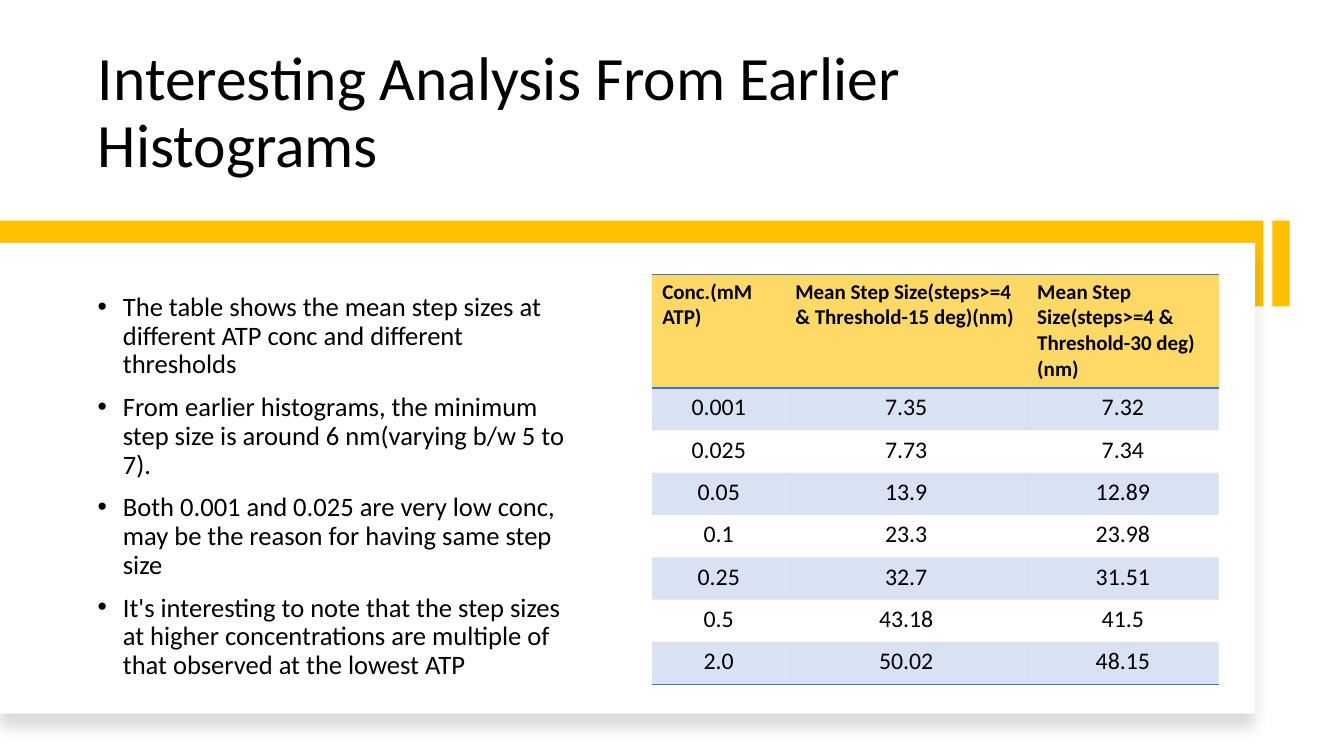
"""Build the slide on mean step sizes at different ATP concentrations."""
from dataclasses import dataclass

from lxml import etree
from pptx import Presentation
from pptx.dml.color import RGBColor
from pptx.enum.shapes import MSO_SHAPE
from pptx.enum.text import MSO_ANCHOR, PP_ALIGN
from pptx.oxml.ns import qn
from pptx.util import Emu, Inches, Pt

RECT = MSO_SHAPE.RECTANGLE
TOP, MIDDLE, BOTTOM = MSO_ANCHOR.TOP, MSO_ANCHOR.MIDDLE, MSO_ANCHOR.BOTTOM
LEFT, CENTER = PP_ALIGN.LEFT, PP_ALIGN.CENTER

BLACK = RGBColor(0x00, 0x00, 0x00)
WHITE = RGBColor(0xFF, 0xFF, 0xFF)
GOLD = RGBColor(0xFF, 0xC0, 0x00)
PALE_GOLD = RGBColor(0xFF, 0xD9, 0x66)
BLUE = RGBColor(0x44, 0x72, 0xC4)

FONT = "Calibri"
WIDTH, HEIGHT = Inches(13.33), Inches(7.5)
NO_TABLE_STYLE = "{2D5ABB26-0587-4C30-8999-92F81FD0307C}"
BULLET_INDENT = Inches(0.25)


@dataclass(frozen=True)
class Box:
    """Place on the slide, in percent of its width and height."""
    x: float
    y: float
    w: float
    h: float

    def emu(self) -> tuple[Emu, Emu, Emu, Emu]:
        """Return left, top, width and height as lengths."""
        return across(self.x), down(self.y), across(self.w), down(self.h)


@dataclass(frozen=True)
class Panel:
    """A plain rectangle."""
    box: Box
    color: RGBColor
    shadow: bool = False


@dataclass(frozen=True)
class TextBlock:
    """A text box with one paragraph per line."""
    box: Box
    lines: tuple[str, ...]
    size: int
    anchor: MSO_ANCHOR
    bullets: bool = False


BAND = Panel(Box(0, 29.2, 94, 11.33), GOLD)
CARD = Panel(Box(0, 32.13, 93.4, 62.27), WHITE, shadow=True)
MARKER = Panel(Box(94.67, 29.2, 1.28, 11.33), GOLD)

TITLE = TextBlock(Box(6.53, 5.6, 82.6, 18.93),
                  ("Interesting Analysis From Earlier Histograms",), 44, BOTTOM)
FINDINGS = TextBlock(Box(6.53, 37.87, 37.2, 53.07), (
    "The table shows the mean step sizes at different ATP conc and different thresholds",
    "From earlier histograms, the minimum step size is around 6 nm(varying b/w 5 to 7).",
    "Both 0.001 and 0.025 are very low conc, may be the reason for having same step size",
    "It's interesting to note that the step sizes at higher concentrations are "
    "multiple of that observed at the lowest ATP",
), 19, MIDDLE, bullets=True)

TABLE_BOX = Box(48.53, 36.27, 42.15, 54.27)
COLUMN_WIDTHS = (9.9, 18, 14.25)
HEADER_HEIGHT, ROW_HEIGHT = 15.07, 5.6
STEP_SIZES = (
    ("Conc.(mM ATP)", "Mean Step Size(steps>=4 & Threshold-15 deg)(nm)",
     "Mean Step Size(steps>=4 & Threshold-30 deg)(nm)"),
    ("0.001", "7.35", "7.32"),
    ("0.025", "7.73", "7.34"),
    ("0.05", "13.9", "12.89"),
    ("0.1", "23.3", "23.98"),
    ("0.25", "32.7", "31.51"),
    ("0.5", "43.18", "41.5"),
    ("2.0", "50.02", "48.15"),
)


def across(share: float) -> Emu:
    """Turn a percentage of the slide's width into a length."""
    return Emu(round(WIDTH * share / 100))


def down(share: float) -> Emu:
    """Turn a percentage of the slide's height into a length."""
    return Emu(round(HEIGHT * share / 100))


def add_color(parent, color: RGBColor, alpha: int = 100) -> None:
    """Append a colour with its opacity in percent."""
    clr = etree.SubElement(parent, qn("a:srgbClr"), val=str(color))
    if alpha < 100:
        etree.SubElement(clr, qn("a:alpha"), val=str(alpha * 1000))


def add_panel(s, panel: Panel) -> None:
    """Draw a filled rectangle, with a soft shadow below if asked."""
    sp = s.shapes.add_shape(RECT, *panel.box.emu())
    sp.shadow.inherit = False
    sp.fill.solid()
    sp.fill.fore_color.rgb = panel.color
    sp.line.fill.background()
    if panel.shadow:
        effects = sp._element.spPr.find(qn("a:effectLst"))
        shadow = etree.SubElement(effects, qn("a:outerShdw"), blurRad=str(Pt(11)),
                                  dist=str(Pt(10)), dir=str(90 * 60000), algn="t",
                                  rotWithShape="0")
        add_color(shadow, BLACK, 15)


def add_bullet(p) -> None:
    """Give a paragraph a hanging bullet."""
    pPr = p._p.get_or_add_pPr()
    pPr.set("marL", str(BULLET_INDENT))
    pPr.set("indent", str(-BULLET_INDENT))
    etree.SubElement(pPr, qn("a:buFont"), typeface="Arial")
    etree.SubElement(pPr, qn("a:buChar"), char="•")


def style_runs(p, size: int, bold: bool = False) -> None:
    """Set the font of a paragraph's runs."""
    for r in p.runs:
        r.font.name = FONT
        r.font.size = Pt(size)
        r.font.bold = bold
        r.font.color.rgb = BLACK


def add_text(s, block: TextBlock) -> None:
    """Write a text block."""
    tf = s.shapes.add_textbox(*block.box.emu()).text_frame
    tf.word_wrap = True
    tf.vertical_anchor = block.anchor
    tf.text = "\n".join(block.lines)
    for i, p in enumerate(tf.paragraphs):
        p.line_spacing = 0.9
        if i:
            p.space_before = Pt(10)
        if block.bullets:
            add_bullet(p)
        style_runs(p, block.size)


def add_border(cell, side: str) -> None:
    """Draw a thin blue line on one side of a cell."""
    ln = etree.SubElement(cell._tc.get_or_add_tcPr(), qn(f"a:{side}"), w=str(Pt(1)))
    add_color(etree.SubElement(ln, qn("a:solidFill")), BLUE)


def fill_cell(cell, row: int) -> None:
    """Fill the header gold and every other row below it in light blue."""
    if row and row % 2 == 0:
        cell.fill.background()
        return
    cell.fill.solid()
    cell.fill.fore_color.rgb = BLUE if row else PALE_GOLD
    if row:
        clr = cell._tc.tcPr.find(qn("a:solidFill")).find(qn("a:srgbClr"))
        etree.SubElement(clr, qn("a:alpha"), val="20000")


def add_step_table(s) -> None:
    """Draw the table of mean step sizes."""
    table = s.shapes.add_table(len(STEP_SIZES), len(COLUMN_WIDTHS), *TABLE_BOX.emu()).table
    table.horz_banding = False
    table._tbl.tblPr.find(qn("a:tableStyleId")).text = NO_TABLE_STYLE
    for column, width in zip(table.columns, COLUMN_WIDTHS):
        column.width = across(width)
    for i, values in enumerate(STEP_SIZES):
        header = i == 0
        table.rows[i].height = down(HEADER_HEIGHT if header else ROW_HEIGHT)
        for j, value in enumerate(values):
            cell = table.cell(i, j)
            cell.text_frame.text = value
            cell.vertical_anchor = TOP
            p = cell.text_frame.paragraphs[0]
            p.alignment = LEFT if header else CENTER
            style_runs(p, 15 if header else 17, bold=header)
            if header:
                add_border(cell, "lnT")
            if header or i == len(STEP_SIZES) - 1:
                add_border(cell, "lnB")
            fill_cell(cell, i)


def main() -> None:
    """Build and save the presentation."""
    prs = Presentation()
    prs.slide_width, prs.slide_height = WIDTH, HEIGHT
    s = prs.slides.add_slide(prs.slide_layouts[6])
    add_text(s, TITLE)
    for panel in (BAND, CARD):
        add_panel(s, panel)
    add_text(s, FINDINGS)
    add_panel(s, MARKER)
    add_step_table(s)
    prs.save("out.pptx")


if __name__ == "__main__":
    main()
